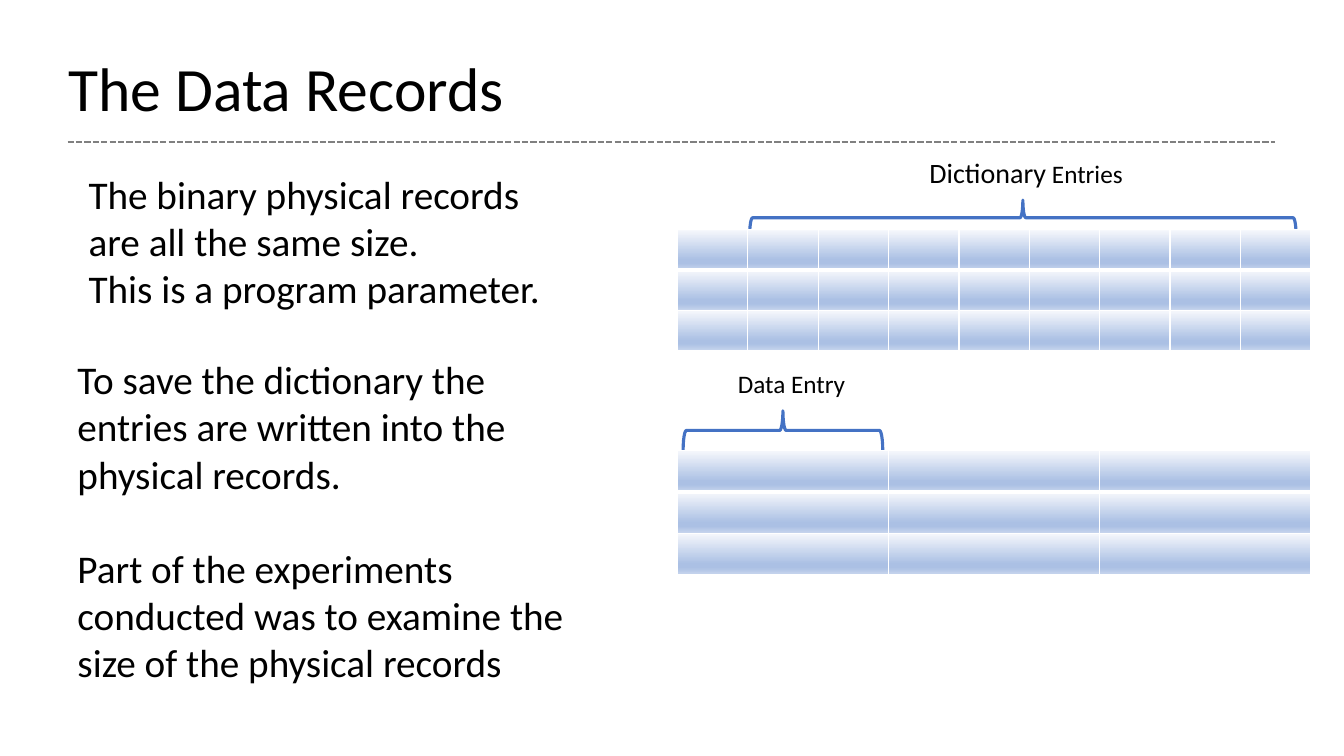
from pptx import Presentation
from pptx.dml.color import RGBColor
from pptx.enum.dml import MSO_LINE
from pptx.enum.shapes import MSO_CONNECTOR, MSO_SHAPE
from pptx.enum.text import MSO_ANCHOR
from pptx.oxml import parse_xml
from pptx.oxml.ns import nsdecls, qn
from pptx.util import Pt
from lxml.etree import SubElement

PX = 9144
BLACK = RGBColor(0x00, 0x00, 0x00)
WHITE = RGBColor(0xFF, 0xFF, 0xFF)
GRAY = RGBColor(0x80, 0x80, 0x80)
BLUE = RGBColor(0x44, 0x72, 0xC4)
PALE = RGBColor(0xF6, 0xF8, 0xFC)
MID = RGBColor(0xAB, 0xC0, 0xE4)
SOFT = RGBColor(0xC7, 0xD5, 0xED)
STOPS = [(0, PALE), (74, MID), (83, MID), (100, SOFT)]

deck = Presentation()
deck.slide_width, deck.slide_height = 1333 * PX, 750 * PX
slide = deck.slides.add_slide(deck.slide_layouts[6])


def add_text(box, paras, gap=0):
    frame = slide.shapes.add_textbox(*[n * PX for n in box]).text_frame
    frame.word_wrap = True
    for i, runs in enumerate(paras):
        para = frame.paragraphs[0] if i == 0 else frame.add_paragraph()
        if i and gap:
            para.space_before = Pt(gap)
        for words, size in runs:
            run = para.add_run()
            run.text = words
            run.font.size = Pt(size)
            run.font.name = "Calibri"
            run.font.color.rgb = BLACK
    return frame


def style_cell(cell, top, bottom):
    props = cell._tc.get_or_add_tcPr()
    for side, width in [("L", 1), ("R", 1), ("T", top), ("B", bottom)]:
        props.append(parse_xml(
            f'<a:ln{side} {nsdecls("a")} w="{Pt(width)}"><a:solidFill>'
            f'<a:srgbClr val="{WHITE}"/></a:solidFill></a:ln{side}>'))
    stops = "".join(
        f'<a:gs pos="{spot * 1000}"><a:srgbClr val="{color}"/></a:gs>'
        for spot, color in STOPS)
    props.append(parse_xml(
        f'<a:gradFill {nsdecls("a")} rotWithShape="1"><a:gsLst>{stops}</a:gsLst>'
        '<a:lin ang="5400000" scaled="0"/></a:gradFill>'))


for box in [(997, -55, 35, 542), (757, 328, 39, 198)]:
    brace = slide.shapes.add_shape(MSO_SHAPE.RIGHT_BRACE, *[n * PX for n in box])
    brace.rotation = 270
    brace.shadow.inherit = False
    brace.fill.background()
    brace.line.color.rgb = BLUE
    brace.line.width = Pt(2.25)

add_text((912, 149, 248, 44), [[("Dictionary", 20), (" Entries", 18)]])
add_text((722, 361, 154, 40), [[("Data Entry", 18)]])

for top, high, count in [(228, 40, 9), (447, 41, 3)]:
    table = slide.shapes.add_table(
        3, count, 672 * PX, top * PX, 628 * PX, 3 * high * PX).table
    table.first_row = False
    table.horz_banding = False
    for r, row in enumerate(table.rows):
        row.height = high * PX
        for cell in row.cells:
            cell.margin_top = cell.margin_bottom = 0
            style_cell(cell, 3 if r == 1 else 1, 3 if r == 0 else 1)

add_text((78, 164, 494, 151), [
    [("The binary physical records are all the same size.", 28)],
    [("This is a program parameter.", 28)]])

title = add_text((58, 50, 1150, 81), [[("The Data Records", 44)]])
title.vertical_anchor = MSO_ANCHOR.MIDDLE
title.paragraphs[0].line_spacing = 0.9

rule = slide.shapes.add_connector(
    MSO_CONNECTOR.STRAIGHT, 67 * PX, 141 * PX, 1265 * PX, 141 * PX)
rule.line.color.rgb = GRAY
rule.line.width = Pt(1.5)
rule.line.dash_style = MSO_LINE.SQUARE_DOT
SubElement(rule._element.spPr, qn("a:effectLst"))

add_text((67, 348, 525, 340), [
    [("To save the dictionary the entries are written into the physical records.", 28)],
    [("Part of the experiments conducted was to examine the size of the physical records", 28)]],
    gap=34)

deck.save("out.pptx")
